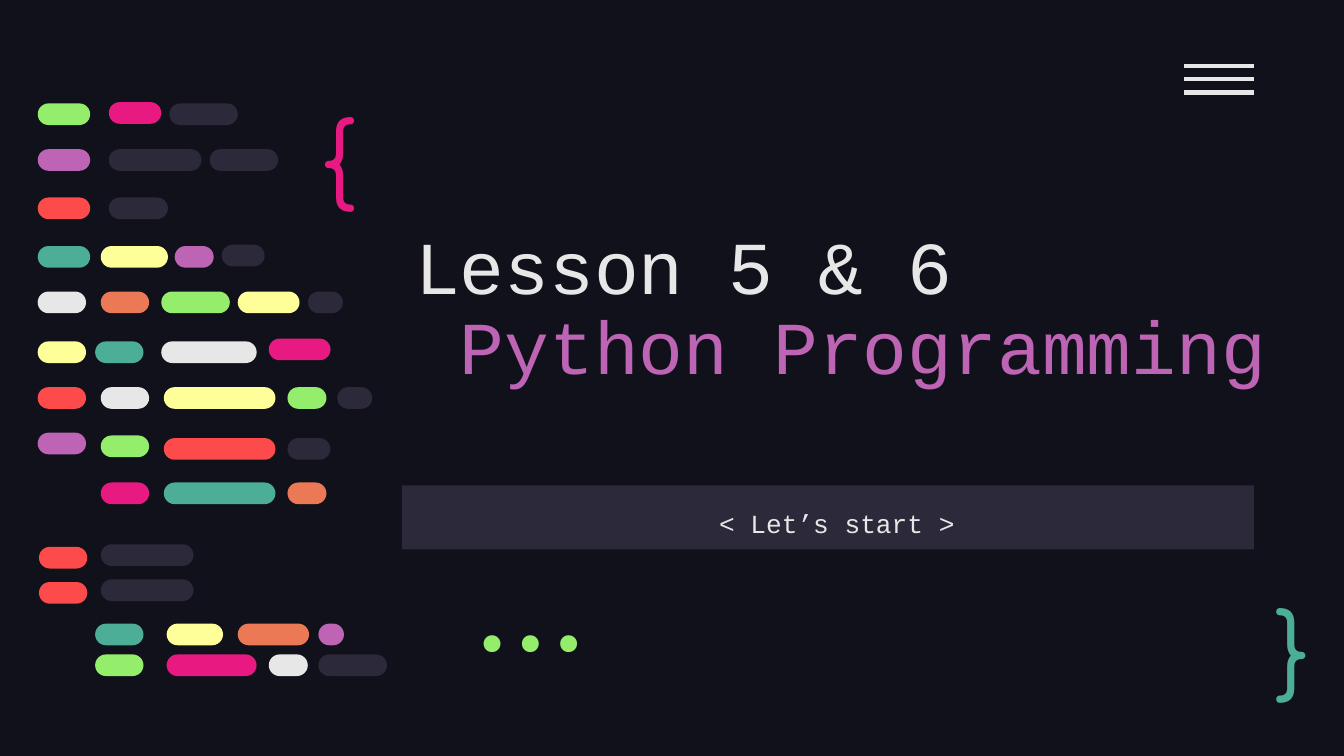
from dataclasses import dataclass
from lxml.etree import SubElement
from pptx import Presentation
from pptx.dml.color import RGBColor
from pptx.enum.shapes import MSO_CONNECTOR, MSO_SHAPE
from pptx.enum.text import MSO_ANCHOR, PP_ALIGN
from pptx.oxml.ns import qn
from pptx.util import Pt


@dataclass(frozen=True)
class Theme:
    night: str = "10111A"
    slate: str = "2C293A"
    white: str = "E7E7E7"
    pink: str = "E81A81"
    teal: str = "4CAE97"
    lime: str = "94EE6B"
    plum: str = "BD64B5"
    red: str = "FD4A4A"
    sand: str = "FFFF99"
    rust: str = "EC7955"
    code: str = "Courier New"
    round: str = "Comfortaa"
    mono: str = "Fira Code"
    head: float = 40
    sign: float = 50
    note: float = 14


T = Theme()
PAD = 7.2
PILL = 11.6

# Each row: top, then pills as (left, width, colour, optional shift down)
ROWS = [
    (0.7, [(0.2, 28.1, T.lime), (38.3, 28.1, T.pink, -0.7), (70.7, 36.7, T.slate)]),
    (25.2, [(0.2, 28.1, T.plum), (38.3, 49.7, T.slate), (92.3, 36.7, T.slate)]),
    (51.1, [(0.2, 28.1, T.red), (38.3, 31.7, T.slate)]),
    (77.1, [(0.2, 28.1, T.teal), (34, 36, T.sand), (73.6, 20.9, T.plum),
            (98.8, 23, T.slate, -0.7)]),
    (101.5, [(0.2, 25.9, T.white), (34, 25.9, T.rust), (66.4, 36.7, T.lime),
             (107.4, 33.1, T.sand), (145, 18.7, T.slate)]),
    (128.2, [(0.2, 25.9, T.sand), (31, 25.9, T.teal), (66.4, 51.1, T.white),
             (124, 33.1, T.pink, -1.5)]),
    (152.7, [(0.2, 25.9, T.red), (34, 25.9, T.white), (67.8, 59.8, T.sand),
             (134, 20.9, T.lime), (160.7, 18.7, T.slate)]),
    (177.1, [(0.2, 25.9, T.plum), (34, 25.9, T.lime, 1.5), (67.8, 59.8, T.red, 2.9),
             (134, 23, T.slate, 2.9)]),
    (203.8, [(34, 25.9, T.pink), (67.8, 59.8, T.teal), (134, 20.9, T.rust)]),
    (238.3, [(0.9, 25.9, T.red), (34, 49.7, T.slate, -1.4)]),
    (257.1, [(0.9, 25.9, T.red), (34, 49.7, T.slate, -1.4)]),
    (279.4, [(31, 25.9, T.teal), (69.3, 30.2, T.sand), (107.4, 38.2, T.rust),
             (150.6, 13.7, T.plum)]),
    (295.9, [(31, 25.9, T.lime), (69.3, 48.2, T.pink), (124, 20.9, T.white),
             (150.6, 36.7, T.slate)]),
]


def style(item, **values):
    for name, value in values.items():
        setattr(item, name, value)


def tint(color):
    return RGBColor.from_string(color)


def place(box):
    return [Pt(n) for n in box]


def block(shapes, kind, box, color):
    """Add a flat filled shape without line or shadow."""
    shape = shapes.add_shape(kind, *place(box))
    shape.shadow.inherit = False
    shape.fill.solid()
    shape.fill.fore_color.rgb = tint(color)
    shape.line.fill.background()
    return shape


def write(shape, lines, font, size, pads=(PAD,) * 4, anchor=MSO_ANCHOR.TOP, **look):
    """Fill a shape with (text, colour, indent) lines; pads run left, top, right, bottom."""
    frame = shape.text_frame
    left, top, right, bottom = place(pads)
    style(frame, word_wrap=True, vertical_anchor=anchor, margin_left=left,
          margin_top=top, margin_right=right, margin_bottom=bottom)
    for i, (text, color, indent) in enumerate(lines):
        para = frame.add_paragraph() if i else frame.paragraphs[0]
        style(para, **{"alignment": PP_ALIGN.LEFT, **look})
        if indent:
            para._p.get_or_add_pPr().set("marL", str(Pt(indent)))
        run = para.add_run()
        run.text = text
        style(run.font, name=font, size=Pt(size))
        run.font.color.rgb = tint(color)


def title(slide, box):
    letter = 0.6 * T.head
    write(slide.shapes.add_textbox(*place(box)),
          [("Lesson 5 & 6", T.white, 0), ("Python Programming", T.plum, letter)],
          T.code, T.head, (PAD, PAD, PAD, 50.6), MSO_ANCHOR.BOTTOM, line_spacing=0.9)


def start(slide, box):
    bar = block(slide.shapes, MSO_SHAPE.RECTANGLE, box, T.slate)
    write(bar, [("< Let’s start >", T.white, 0)], T.code, T.note,
          (16.8, 9.3, PAD, PAD), alignment=PP_ALIGN.CENTER, line_spacing=1.15)


def sign(slide, box, text, color, font=T.round, **look):
    write(slide.shapes.add_textbox(*place(box)), [(text, color, 0)], font, T.sign, **look)


def menu(slide, box):
    left, top, width, height = box
    group = slide.shapes.add_group_shape()
    for i in range(3):
        y = top + i * height / 2
        bar = group.shapes.add_connector(MSO_CONNECTOR.STRAIGHT,
                                         *place((left, y, left + width, y)))
        bar.line.color.rgb = tint(T.white)
        bar.line.width = Pt(2.25)
        SubElement(bar._element.spPr, qn("a:effectLst"))


def code(slide, box):
    """Draw rows of pills that look like lines of code."""
    left, top = box[:2]
    group = slide.shapes.add_group_shape()
    for y, pills in ROWS:
        for x, width, color, *shift in pills:
            spot = (left + x, top + y + sum(shift), width, PILL)
            pill = block(group.shapes, MSO_SHAPE.ROUNDED_RECTANGLE, spot, color)
            pill.adjustments[0] = 0.5


def cover(deck):
    slide = deck.slides.add_slide(deck.slide_layouts[6])
    slide.background.fill.solid()
    slide.background.fill.fore_color.rgb = tint(T.night)
    title(slide, (215.3, 99.4, 484.6, 160.6))
    start(slide, (215.3, 260, 456.5, 34.4))
    sign(slide, (164.9, 44.6, 55.4, 68.4), "{", T.pink)
    sign(slide, (676.1, 315.4, 41, 59.8), "}", T.teal, anchor=MSO_ANCHOR.MIDDLE)
    sign(slide, (223.9, 323.3, 113.8, 43.2), "...", T.lime, T.mono,
         anchor=MSO_ANCHOR.BOTTOM, alignment=PP_ALIGN.RIGHT)
    menu(slide, (634.5, 35.2, 37.3, 14.4))
    code(slide, (20, 54.7, 187.3, 307.5))


def main():
    deck = Presentation()
    style(deck, slide_width=Pt(720), slide_height=Pt(405))
    cover(deck)
    deck.save("out.pptx")


if __name__ == "__main__":
    main()
